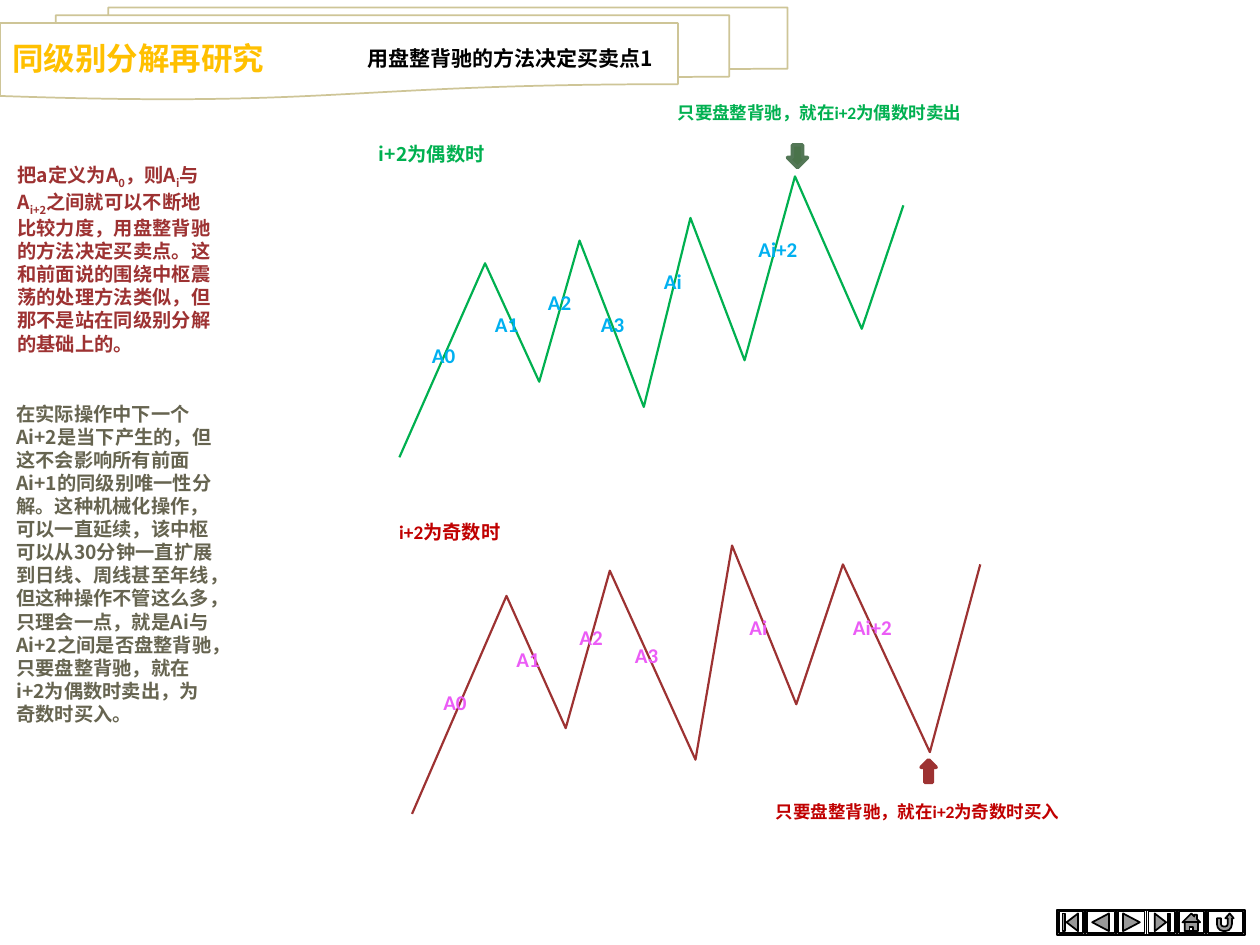
from pptx import Presentation
from pptx.dml.color import RGBColor
from pptx.enum.shapes import MSO_SHAPE
from pptx.enum.text import MSO_ANCHOR, MSO_AUTO_SIZE, PP_ALIGN
from pptx.oxml import parse_xml
from pptx.oxml.ns import nsdecls
from pptx.util import Inches, Pt

CJK = "Noto Sans CJK SC"
LATIN = "Calibri"
GREEN, RED, BRICK = "00B050", "C00000", "9D3232"
BLUE, PINK, OLIVE = "00B0F0", "EB5CF6", "666450"


def colour(value):
    return RGBColor.from_string(value)


class SlideBuilder:
    def __init__(self, slide):
        self.slide = slide
        self.frame_format = {"vertical_anchor": MSO_ANCHOR.TOP, "word_wrap": True,
                             "auto_size": MSO_AUTO_SIZE.NONE}

    def text(self, place, pieces, size, ink, font=LATIN, align=PP_ALIGN.LEFT, **changes):
        frame = self.slide.shapes.add_textbox(*map(Inches, place)).text_frame
        for key, value in (self.frame_format | changes).items():
            setattr(frame, key, value)
        paragraph = frame.paragraphs[0]
        paragraph.alignment = align
        for index, words in enumerate([pieces] if isinstance(pieces, str) else pieces):
            run = paragraph.add_run()
            run.text = words
            for key, value in {"size": Pt(size), "bold": True, "name": font}.items():
                setattr(run.font, key, value)
            run.font.color.rgb = colour(ink)
            properties = run.font._element
            properties.append(parse_xml(f'<a:ea {nsdecls("a")} typeface="{CJK}"/>'))
            if index % 2:
                properties.set("baseline", "-25000")

    def paint(self, shape, fill, line, width):
        shape.shadow.inherit = False
        if fill:
            shape.fill.solid()
            shape.fill.fore_color.rgb = colour(fill)
        else:
            shape.fill.background()
        shape.line.color.rgb = colour(line)
        shape.line.width = Pt(width)

    def preset(self, kind, place, fill, line, width):
        shape = self.slide.shapes.add_shape(kind, *map(Inches, place))
        self.paint(shape, fill, line, width)

    def outline(self, contours, fill, line, width, close=True):
        scaled = [[(Inches(x), Inches(y)) for x, y in contour] for contour in contours]
        builder = self.slide.shapes.build_freeform(*scaled[0][0], scale=1.0)
        for index, (start, *rest) in enumerate(scaled):
            if index:
                builder.move_to(*start)
            builder.add_line_segments(rest, close=close)
        self.paint(builder.convert_to_shape(), fill, line, width)

    def wave(self, points, line, labels, label_ink):
        self.outline([points], None, line, 1.25, close=False)
        for name, left, top, width, height in labels:
            self.text((left, top, width, height), name, 12, label_ink,
                      align=PP_ALIGN.JUSTIFY)

    def button(self, left, right, glyph):
        top, bottom, bevel, reach = 7.22, 7.42, 0.015, 0.07
        frame = [[(left + d, top + d), (right - d, top + d),
                  (right - d, bottom - d), (left + d, bottom - d)] for d in (0, bevel)]
        self.outline(frame, "FFFFFF", "000000", 1)
        middle_x, middle_y = (left + right) / 2, (top + bottom) / 2
        icon = [[(middle_x + x * reach, middle_y + y * reach) for x, y in contour]
                for contour in glyph]
        self.outline(icon, "999999", "000000", 1)


def mirrored(glyph):
    return [[(-x, y) for x, y in contour] for contour in glyph]


def main():
    presentation = Presentation()
    presentation.slide_width, presentation.slide_height = Inches(10), Inches(7.5)
    page = SlideBuilder(presentation.slides.add_slide(presentation.slide_layouts[6]))

    page.preset(MSO_SHAPE.FLOWCHART_MULTIDOCUMENT, (0, 0.06, 6.25, 0.73),
                "FFFFFF", "CEC597", 1)
    page.text((0, 0.18, 2.64, 0.48), "同级别分解再研究", 18, "FFC000", CJK,
              vertical_anchor=MSO_ANCHOR.BOTTOM)
    page.text((2.82, 0.31, 2.76, 0.29), "用盘整背驰的方法决定买卖点1", 12, "000000", CJK,
              PP_ALIGN.JUSTIFY)

    even_wave = [(3.17, 3.63), (3.85, 2.09), (4.28, 3.03), (4.6, 1.91), (5.11, 3.23),
                 (5.48, 1.73), (5.91, 2.86), (6.31, 1.4), (6.84, 2.61), (7.17, 1.63)]
    even_labels = [("A0", 3.33, 2.67, 0.61, 0.49), ("A1", 3.83, 2.42, 0.61, 0.47),
                   ("A2", 4.25, 2.25, 0.57, 0.55), ("A3", 4.67, 2.42, 0.42, 0.47),
                   ("Ai", 5.17, 2.08, 0.41, 0.43), ("Ai+2", 5.92, 1.83, 0.51, 0.41)]
    page.wave(even_wave, GREEN, even_labels, BLUE)
    page.text((5.28, 0.76, 2.59, 0.27), "只要盘整背驰，就在i+2为偶数时卖出", 10, GREEN,
              align=PP_ALIGN.JUSTIFY)

    odd_wave = [(3.27, 6.46), (4.02, 4.73), (4.49, 5.78), (4.84, 4.53), (5.52, 6.03),
                (5.81, 4.33), (6.32, 5.59), (6.69, 4.48), (7.38, 5.97), (7.78, 4.48)]
    odd_labels = [("A0", 3.42, 5.42, 0.44, 0.43), ("A1", 4, 5.08, 0.42, 0.46),
                  ("A2", 4.5, 4.91, 0.42, 0.34), ("A3", 4.94, 5.05, 0.46, 0.34),
                  ("Ai", 5.85, 4.83, 0.4, 0.34), ("Ai+2", 6.67, 4.83, 0.55, 0.42)]
    page.wave(odd_wave, BRICK, odd_labels, PINK)
    page.text((6.06, 6.31, 2.63, 0.31), "只要盘整背驰，就在i+2为奇数时买入", 10, RED,
              align=PP_ALIGN.JUSTIFY)

    page.text((0.03, 3.14, 1.79, 2.83),
              "在实际操作中下一个Ai+2是当下产生的，但这不会影响所有前面Ai+1的同级别唯一性分解。"
              "这种机械化操作，可以一直延续，该中枢可以从30分钟一直扩展到日线、周线甚至年线，"
              "但这种操作不管这么多，只理会一点，就是Ai与Ai+2之间是否盘整背驰，只要盘整背驰，"
              "就在i+2为偶数时卖出，为奇数时买入。", 11, OLIVE, CJK)
    page.text((0.04, 1.25, 1.8, 1.62),
              ["把a定义为A", "0", "，则A", "i", "与A", "i+2",
               "之间就可以不断地比较力度，用盘整背驰的方法决定买卖点。"
               "这和前面说的围绕中枢震荡的处理方法类似，但那不是站在同级别分解的基础上的。"],
              11, BRICK, CJK, auto_size=MSO_AUTO_SIZE.SHAPE_TO_FIT_TEXT)
    page.text((2.91, 1.08, 1.07, 0.29), "i+2为偶数时", 11, GREEN, CJK)
    page.text((3.07, 4.08, 1.04, 0.29), "i+2为奇数时", 11, RED, word_wrap=False,
              auto_size=MSO_AUTO_SIZE.SHAPE_TO_FIT_TEXT)

    page.preset(MSO_SHAPE.DOWN_ARROW, (6.25, 1.15, 0.16, 0.18), "4A734A", "537756", 2)
    page.preset(MSO_SHAPE.UP_ARROW, (7.31, 6.03, 0.12, 0.18), BRICK, BRICK, 2)

    first = [[(-0.5, 0), (0.8, -1), (0.8, 1)],
             [(-0.95, -1), (-0.7, -1), (-0.7, 1), (-0.95, 1)]]
    previous = [[(-0.95, 0), (0.95, -1), (0.95, 1)]]
    home = [[(0, -1), (0.35, -0.65), (0.35, -0.85), (0.65, -0.85), (0.65, -0.35),
             (1, 0), (0.75, 0), (0.75, 1), (-0.75, 1), (-0.75, 0), (-1, 0)],
            [(-0.75, 0), (0.75, 0)],
            [(-0.2, 0.5), (0.2, 0.5), (0.2, 1), (-0.2, 1)]]
    back = [[(-0.95, -0.45), (-0.5, -0.45), (-0.5, 0.2), (-0.4, 0.4), (-0.2, 0.48),
             (0, 0.48), (0.2, 0.4), (0.28, 0.2), (0.28, -0.45), (0, -0.45), (0.5, -1),
             (0.95, -0.45), (0.75, -0.45), (0.75, 0.2), (0.65, 0.6), (0.4, 0.88),
             (0, 1), (-0.2, 1), (-0.6, 0.88), (-0.85, 0.6), (-0.95, 0.2)]]
    glyphs = [first, previous, mirrored(previous), mirrored(first), home, back]
    edges = [8.39, 8.61, 8.86, 9.1, 9.34, 9.57, 9.88]
    for left, right, glyph in zip(edges, edges[1:], glyphs):
        page.button(left, right, glyph)

    presentation.save("out.pptx")


if __name__ == "__main__":
    main()
